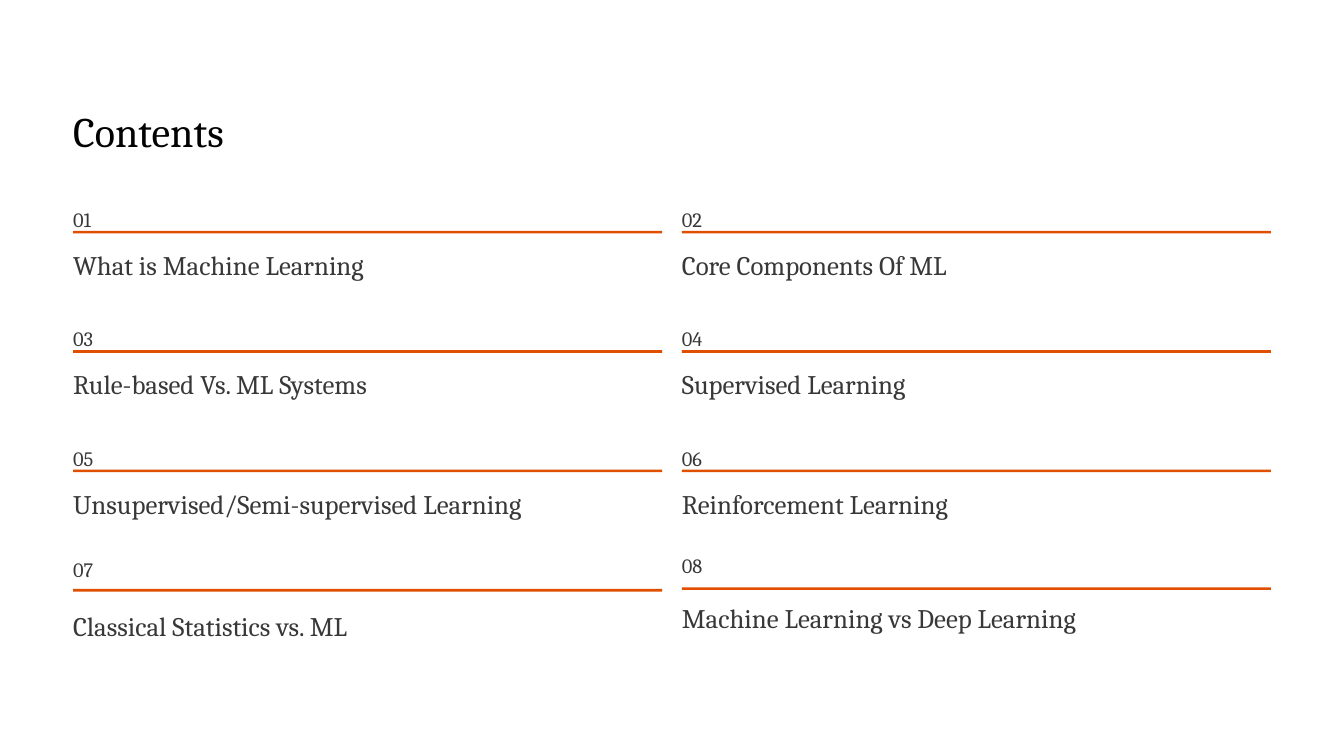
from pptx import Presentation
from pptx.dml.color import RGBColor
from pptx.enum.shapes import MSO_SHAPE
from pptx.util import Cm, Pt

RECT = MSO_SHAPE.RECTANGLE
BLACK = RGBColor(0x02, 0x02, 0x02)
GREY = RGBColor(0x38, 0x38, 0x38)
ORANGE = RGBColor(0xE0, 0x4F, 0x00)
FONT = "Cambria"

# Grid, in centimetres
LEFT, TOP = 2.21, 5.99
COL, ROW = 18.41, 3.61
BAR_W, BAR_H = 17.81, 0.08
BAR_DY, NAME_DY = 0.99, 1.48

# Topic and width of its text box
TOPICS = [
    ("What is Machine Learning", 12.14),
    ("Core Components Of ML", 13.67),
    ("Rule-based Vs. ML Systems", 14.3),
    ("Supervised Learning", 10.67),
    ("Unsupervised/Semi-supervised Learning", 14.94),
    ("Reinforcement Learning", 15.34),
    ("Classical Statistics vs. ML", 14.94),
    ("Machine Learning vs Deep Learning", 15.34),
]
# Vertical shifts of number, bar and topic in the last row
SHIFTS = {7: (-0.23, 0, 0.1), 8: (-0.36, -0.05, -0.15)}


def add_text(slide, text, x, y, w, h, size, line, color=GREY):
    box = slide.shapes.add_textbox(Cm(x), Cm(y), Cm(w), Cm(h))
    frame = box.text_frame
    frame.margin_left = frame.margin_right = 0
    frame.margin_top = frame.margin_bottom = 0
    frame.word_wrap = False
    para = frame.paragraphs[0]
    para.text = text
    para.line_spacing = Pt(line)
    para.font.name = FONT
    para.font.size = Pt(size)
    para.font.color.rgb = color


def add_bar(slide, x, y):
    bar = slide.shapes.add_shape(RECT, Cm(x), Cm(y), Cm(BAR_W), Cm(BAR_H))
    bar.shadow.inherit = False
    bar.fill.solid()
    bar.fill.fore_color.rgb = ORANGE
    bar.line.fill.background()


def add_topic(slide, num, name, width):
    row, col = divmod(num - 1, 2)
    x, y = LEFT + col * COL, TOP + row * ROW
    num_dy, bar_dy, name_dy = SHIFTS.get(num, (0, 0, 0))
    add_text(slide, f"{num:02d}", x, y + num_dy, 0.64, 0.79, 17.5, 28.5)
    add_bar(slide, x, y + BAR_DY + bar_dy)
    add_text(slide, name, x, y + NAME_DY + name_dy, width, 1.4, 23, 29)


def main():
    deck = Presentation()
    deck.slide_width, deck.slide_height = Cm(40.64), Cm(22.86)
    slide = deck.slides.add_slide(deck.slide_layouts[6])

    # Title
    add_text(slide, "Contents", LEFT, 3.07, 13.23, 1.65, 36, 46.5, BLACK)

    # Numbered topics, two per row
    for num, (name, width) in enumerate(TOPICS, 1):
        add_topic(slide, num, name, width)

    deck.save("out.pptx")


if __name__ == "__main__":
    main()
